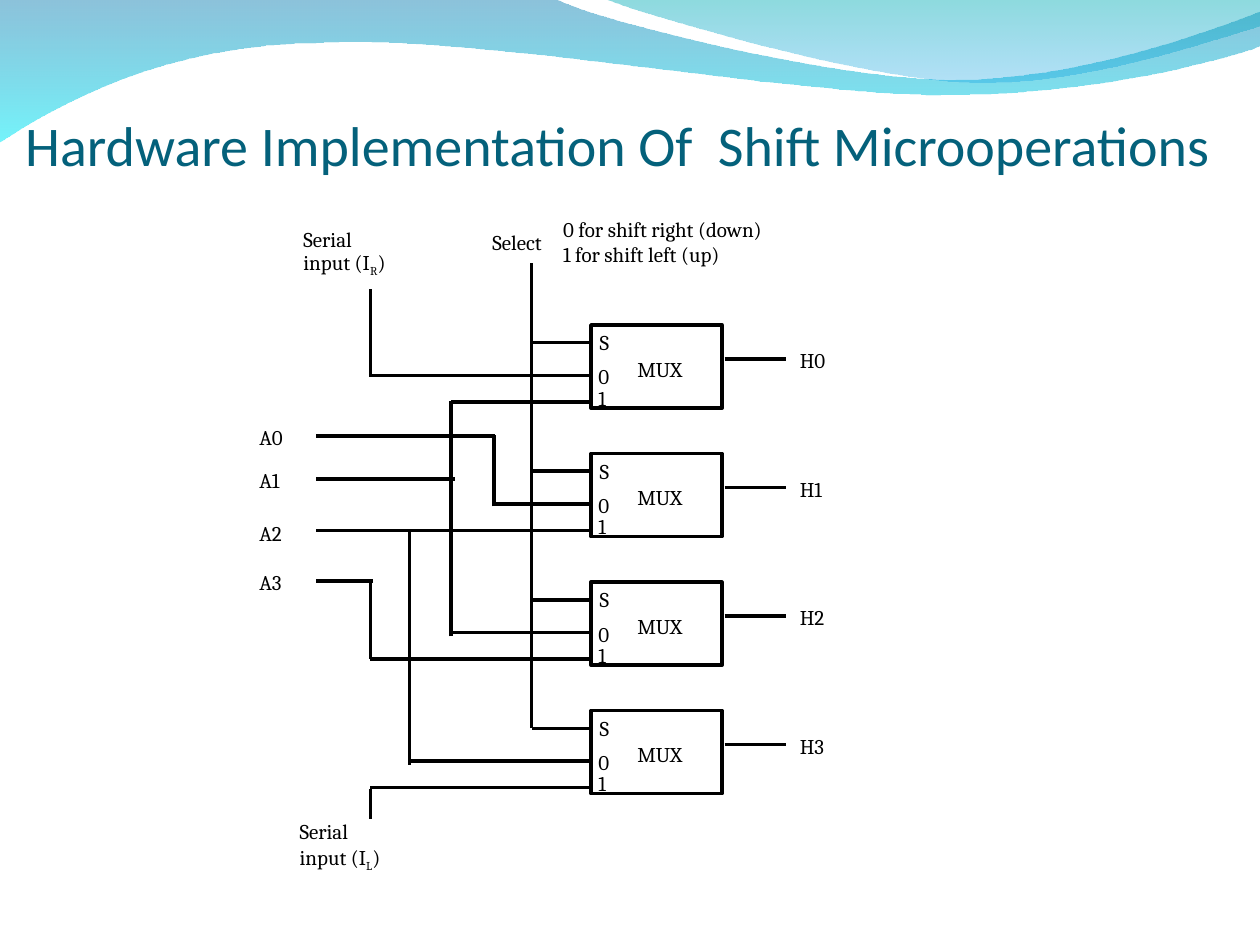
from lxml import etree
from pptx import Presentation
from pptx.dml.color import RGBColor
from pptx.enum.shapes import MSO_CONNECTOR as CONN, MSO_SHAPE as SHAPE
from pptx.enum.text import MSO_ANCHOR as ANCHOR, MSO_AUTO_SIZE as AUTO, PP_ALIGN as ALIGN
from pptx.oxml.ns import qn
from pptx.util import Inches, Pt

BLACK = RGBColor(0x00, 0x00, 0x00)
TITLE = RGBColor(0x04, 0x61, 0x7B)
BLUE, CYAN = RGBColor(0x00, 0x79, 0xAF), RGBColor(0x00, 0xEB, 0xF8)
TEAL, SKY = RGBColor(0x00, 0xAD, 0xB6), RGBColor(0x00, 0x9B, 0xE5)

prs = Presentation()
prs.slide_width, prs.slide_height = Inches(10), Inches(7.5)
layout = prs.slide_layouts[5]
s = prs.slides.add_slide(layout)

# Header waves on the layout: two numbers end a line, six a Bezier curve
waves = [
    ((0, -0.01),
     [(4.4, -0.01), (4.76, 0.17, 6.64, 0.63, 7.58, 0.63), (8.53, 0.63, 9.58, 0.26, 10, 0.09),
      (10.01, 0.36), (9.83, 0.44, 8.7, 0.76, 7.46, 0.75), (6.22, 0.75, 3.82, 0.28, 2.57, 0.34),
      (1.29, 0.35, 0.46, 0.83, -0.01, 1.13)],
     [(BLUE, 45), (CYAN, 55)]),
    ((4.79, -0.01),
     [(5.09, 0.11, 6.82, 0.62, 7.69, 0.65), (8.56, 0.69, 9.61, 0.32, 10, 0.21), (10, 0)],
     [(TEAL, 45), (SKY, 30)]),
]
for start, segments, stops in waves:
    builder = s.shapes.build_freeform(Inches(start[0]), Inches(start[1]))
    builder.add_line_segments([(Inches(seg[k]), Inches(seg[k + 1]))
                               for seg in segments for k in range(0, len(seg), 2)])
    wave = builder.convert_to_shape()
    wave.shadow.inherit = False
    wave.line.fill.background()
    wave.fill.gradient()
    wave.fill.gradient_angle = 270
    for stop, (color, alpha) in zip(wave.fill.gradient_stops, stops):
        stop.color.rgb = color
    for clr, (color, alpha) in zip(wave._element.spPr.iter(qn("a:srgbClr")), stops):
        etree.SubElement(clr, qn("a:alpha")).set("val", str(alpha * 1000))
    # Join each three points of a curve into one Bezier element
    lines = list(wave._element.iter(qn("a:lnTo")))
    for seg in segments:
        count = len(seg) // 2
        parts, lines = lines[:count], lines[count:]
        if count == 3:
            curve = etree.Element(qn("a:cubicBezTo"))
            parts[0].addprevious(curve)
            for part in parts:
                curve.append(part[0])
                part.getparent().remove(part)
    layout.shapes._spTree.append(wave._element)

# Title
title = s.shapes.title
title.left, title.top, title.width, title.height = map(Inches, (0.2, 0.58, 9.64, 0.83))
tf = title.text_frame
tf.text = "Hardware Implementation Of  Shift Microoperations"
tf.word_wrap, tf.auto_size, tf.vertical_anchor = True, AUTO.NONE, ANCHOR.BOTTOM
tf.margin_left = tf.margin_right = tf.margin_bottom = 0
tf.margin_top = Inches(0.05)
p = tf.paragraphs[0]
p.alignment = ALIGN.LEFT
p.font.size, p.font.name, p.font.color.rgb = Pt(32), "Calibri", TITLE

# The circuit is one group
circuit = s.shapes.add_group_shape().shapes


def label(x, y, w, h, *lines, spacing=None):
    """Each line is a string; "_" before a letter makes it a subscript."""
    tf = circuit.add_textbox(Inches(x), Inches(y), Inches(w), Inches(h)).text_frame
    tf.word_wrap = False
    tf.auto_size = AUTO.SHAPE_TO_FIT_TEXT
    for i, line in enumerate(lines):
        p = tf.add_paragraph() if i else tf.paragraphs[0]
        p.line_spacing = spacing
        p.font.size, p.font.name, p.font.color.rgb = Pt(12), "Cambria", BLACK
        before, mark, after = line.partition("_")
        p.add_run().text = before
        if mark:
            r = p.add_run()
            r.text = after[0]
            r.font._element.set("baseline", "-25000")
            p.add_run().text = after[1:]


def wire(x1, y1, x2, y2):
    c = circuit.add_connector(CONN.STRAIGHT, Inches(x1), Inches(y1), Inches(x2), Inches(y2))
    c.line.color.rgb, c.line.width = BLACK, Pt(2)
    etree.SubElement(c._element.spPr, qn("a:effectLst"))


# Vertical wire columns and the multiplexer rows
INPUT, SERIAL, A2_BUS, A1_BUS, A0_BUS, SELECT, MUX = 2.51, 2.94, 3.25, 3.58, 3.92, 4.22, 4.69
TOP, PITCH = 2.58, 1.02
sources = [(SERIAL, A1_BUS), (A0_BUS, INPUT), (A1_BUS, SERIAL), (A2_BUS, SERIAL)]

# Multiplexers with their pins, input wires and outputs
for i, (source0, source1) in enumerate(sources):
    y = TOP + i * PITCH
    box = circuit.add_shape(SHAPE.RECTANGLE, Inches(MUX), Inches(y), Inches(1.04), Inches(0.66))
    box.shadow.inherit = False
    box.fill.background()
    box.line.color.rgb, box.line.width = BLACK, Pt(2)
    label(MUX - 0.03, y - 0.01, 0.29, 0.3, "S")
    label(MUX - 0.04, y + 0.26, 0.29, 0.5, "0")
    label(MUX - 0.04, y + 0.43, 0.29, 0.3, "1")
    for dy, source in ((0.14, SELECT), (0.4, source0), (0.61, source1)):
        wire(MUX, y + dy, source, y + dy)
    wire(5.75, y + 0.27, 6.24, y + 0.27)
    label(6.25, y + 0.13, 0.42, 0.3, f"H{i}")
    label(4.96, y + 0.2, 0.58, 0.3, "MUX")

# Vertical wires
for x, y1, y2 in [(SELECT, 5.78, 2.09), (A0_BUS, 4.02, 3.45), (A2_BUS, 6.07, 4.2),
                  (SERIAL, 5.23, 4.61), (SERIAL, 2.99, 2.29), (SERIAL, 6.26, 6.5),
                  (A1_BUS, 5.05, 3.18)]:
    wire(x, y1, x, y2)

# Data inputs; A2 runs straight into its multiplexer
for x, y in [(3.93, 3.46), (3.61, 3.8), (2.96, 4.61)]:
    wire(x, y, INPUT, y)

# Select and serial input captions, and data names
label(3.81, 1.77, 0.66, 0.3, "Select")
label(4.37, 1.67, 2.05, 0.5, "0 for shift right (down)", "1 for shift left (up)")
label(2.31, 1.79, 0.91, 0.6, "Serial", "input (I_R)", spacing=0.8)
for i, y in enumerate((3.32, 3.66, 4.08, 4.47)):
    label(1.96, y, 0.41, 0.3, f"A{i}")
label(2.28, 6.45, 0.95, 0.72, "Serial", "input (I_L)")

prs.save("out.pptx")
